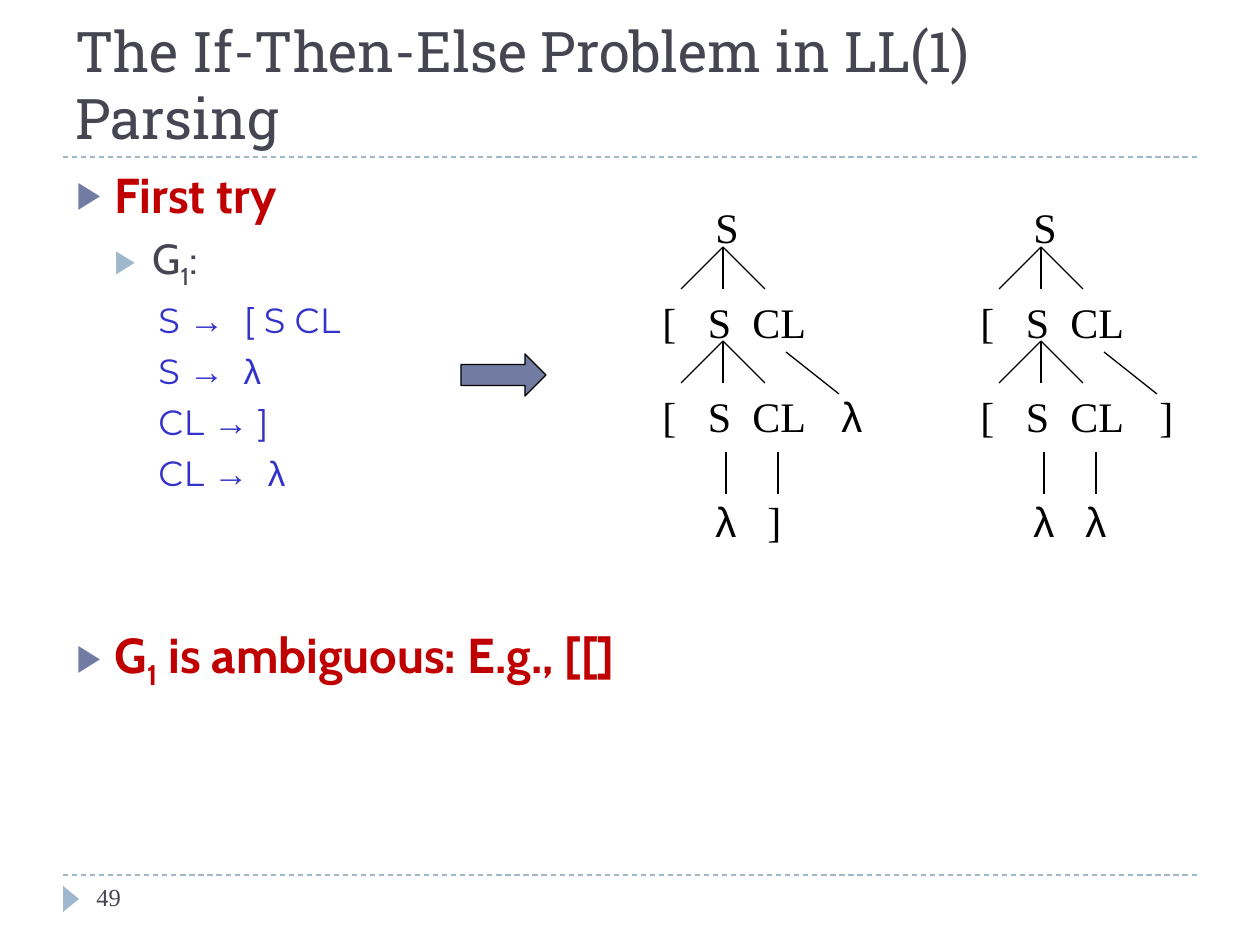
from lxml.etree import SubElement
from pptx import Presentation
from pptx.dml.color import RGBColor
from pptx.enum.dml import MSO_LINE
from pptx.enum.shapes import MSO_CONNECTOR, MSO_SHAPE
from pptx.enum.text import MSO_ANCHOR
from pptx.oxml.ns import qn
from pptx.util import Emu, Pt

COLORS = {
    "ink": "464653", "red": "C00000", "blue": "3333CC", "black": "000000",
    "slate": "727CA3", "sky": "9FB8CD",
}
TITLE = {"name": "Roboto Slab", "size": 32, "color": "ink"}
HEAD = {"name": "Cabin", "size": 28, "color": "red", "bold": True}
SUBHEAD = {"name": "Cabin", "size": 24, "color": "ink"}
RULE = {"name": "Montserrat", "size": 20, "color": "blue"}
SYMBOL = {**RULE, "name": "Arial"}
NODE = {"name": "Times New Roman", "size": 24, "color": "black"}
LAMBDA = {**NODE, "name": "Arial"}
NUMBER = {"name": "Times New Roman", "size": 14, "color": "ink"}


def px(value):
    return Emu(round(value * 914400 / 126))


def sub(fmt):
    return {**fmt, "baseline": -25000}


def gap(fmt, extra):
    return " ", {**fmt, "spc": extra}


class Deck:
    def __init__(self, width, height):
        self.prs = Presentation()
        self.prs.slide_width, self.prs.slide_height = px(width), px(height)
        self.s = self.prs.slides.add_slide(self.prs.slide_layouts[6])
        self.shapes = self.s.shapes

    def color(self, name):
        return RGBColor.from_string(COLORS[name])

    def line(self, x1, y1, x2, y2, color="black", dash=None):
        c = self.shapes.add_connector(
            MSO_CONNECTOR.STRAIGHT, px(x1), px(y1), px(x2), px(y2))
        c.line.color.rgb = self.color(color)
        c.line.width = Pt(0.75)
        if dash:
            c.line.dash_style = dash
        SubElement(c._element.spPr, qn("a:effectLst"))

    def shape(self, kind, x, y, w, h, fill, outline=None, rotation=0):
        sp = self.shapes.add_shape(kind, px(x), px(y), px(w), px(h))
        sp.shadow.inherit = False
        sp.rotation = rotation
        sp.fill.solid()
        sp.fill.fore_color.rgb = self.color(fill)
        if outline:
            sp.line.color.rgb = self.color(outline)
            sp.line.width = Pt(0.75)
        else:
            sp.line.fill.background()

    def text(self, x, y, w, h, wrap=True, anchor=MSO_ANCHOR.TOP):
        tf = self.shapes.add_textbox(px(x), px(y), px(w), px(h)).text_frame
        tf.word_wrap = wrap
        tf.vertical_anchor = anchor
        return tf

    def para(self, p, runs, margin=0, indent=0, bullet=None, **spacing):
        pPr = p._p.get_or_add_pPr()
        pPr.set("marL", str(px(margin)))
        pPr.set("indent", str(px(indent)))
        if bullet:
            clr = SubElement(pPr, qn("a:buClr"))
            SubElement(clr, qn("a:srgbClr"), val=COLORS[bullet])
            SubElement(pPr, qn("a:buSzPct"), val="76000")
            SubElement(pPr, qn("a:buFont"), typeface="Arial")
            SubElement(pPr, qn("a:buChar"), char="▶")
        for key, value in spacing.items():
            setattr(p, key, value)
        for content, fmt in runs:
            r = p.add_run()
            r.text = content
            for key, value in fmt.items():
                if key == "color":
                    r.font.color.rgb = self.color(value)
                elif key in ("baseline", "spc"):
                    r._r.get_or_add_rPr().set(key, str(value))
                else:
                    setattr(r.font, key, Pt(value) if key == "size" else value)

    def label(self, x, y, w, *runs):
        tf = self.text(x, y, w, 63, wrap=False)
        self.para(tf.paragraphs[0], runs)

    def tree(self, x, outer, inner):
        self.shapes = self.s.shapes.add_group_shape().shapes
        self.label(x + 53, 195, 48, ("S", NODE))
        for y in (290, 384):
            self.label(x, y, 169, ("[", NODE), gap(NODE, 1200), ("S", NODE),
                       gap(NODE, 600), ("CL", NODE))
            for dx in (-42, 0, 42):
                self.line(x + 73, y - 43, x + 73 + dx, y - 1)
        for dx, leaf in ((53, ("λ", LAMBDA)), (105, inner)):
            self.line(x + dx + 23, 452, x + dx + 23, 494)
            self.label(x + dx, 489, 48 if leaf[0] == "λ" else 39, leaf)
        self.line(x + 136, 352, x + 189, 394)
        self.label(x + 179, 384, 48 if outer[0] == "λ" else 39, outer)
        self.shapes = self.s.shapes


def main():
    deck = Deck(1260, 945)
    for y in (875, 157):
        deck.line(63, y, 1197, y, "sky", MSO_LINE.DASH)
    deck.shape(MSO_SHAPE.ISOSCELES_TRIANGLE, 58, 891, 26, 16, "sky", rotation=90)

    tf = deck.text(63, 21, 1134, 136, anchor=MSO_ANCHOR.BOTTOM)
    deck.para(tf.paragraphs[0],
              [("The If-Then-Else Problem in LL(1) Parsing", TITLE)])

    top = {"margin": 38, "indent": -38, "bullet": "slate"}
    nested = {"margin": 76, "indent": -38, "bullet": "sky", "space_before": Pt(5)}
    rule = {"margin": 113, "indent": -31, "space_before": Pt(5)}
    arrow, wide = ("→", SYMBOL), gap(SYMBOL, 550)
    body = [
        ([("First try", HEAD)], {**top, "line_spacing": 0.9}),
        ([("G", SUBHEAD), ("1", sub(SUBHEAD)), (":", SUBHEAD)], nested),
        ([("S ", RULE), arrow, wide, ("[ S CL", RULE)], rule),
        ([("S ", RULE), arrow, wide, ("λ", SYMBOL)], rule),
        ([("CL ", RULE), arrow, (" ]", RULE)], rule),
        ([("CL ", RULE), arrow, wide, ("λ", SYMBOL)], rule),
        ([("G", HEAD), ("1", sub(HEAD)), (" is ambiguous: E.g., [[]", HEAD)],
         {**top, "space_before": Pt(75)}),
    ]
    tf = deck.text(64, 165, 1134, 680)
    for i, (runs, fmt) in enumerate(body):
        deck.para(tf.add_paragraph() if i else tf.paragraphs[0], runs, **fmt)

    tf = deck.text(84, 876, 273, 50)
    deck.para(tf.paragraphs[0], [("49", NUMBER)])

    bracket, empty = ("]", NODE), ("λ", LAMBDA)
    deck.tree(650, outer=empty, inner=bracket)
    deck.tree(968, outer=bracket, inner=empty)
    deck.shape(MSO_SHAPE.RIGHT_ARROW, 461, 354, 85, 42, "slate", "black")
    deck.prs.save("out.pptx")


if __name__ == "__main__":
    main()
